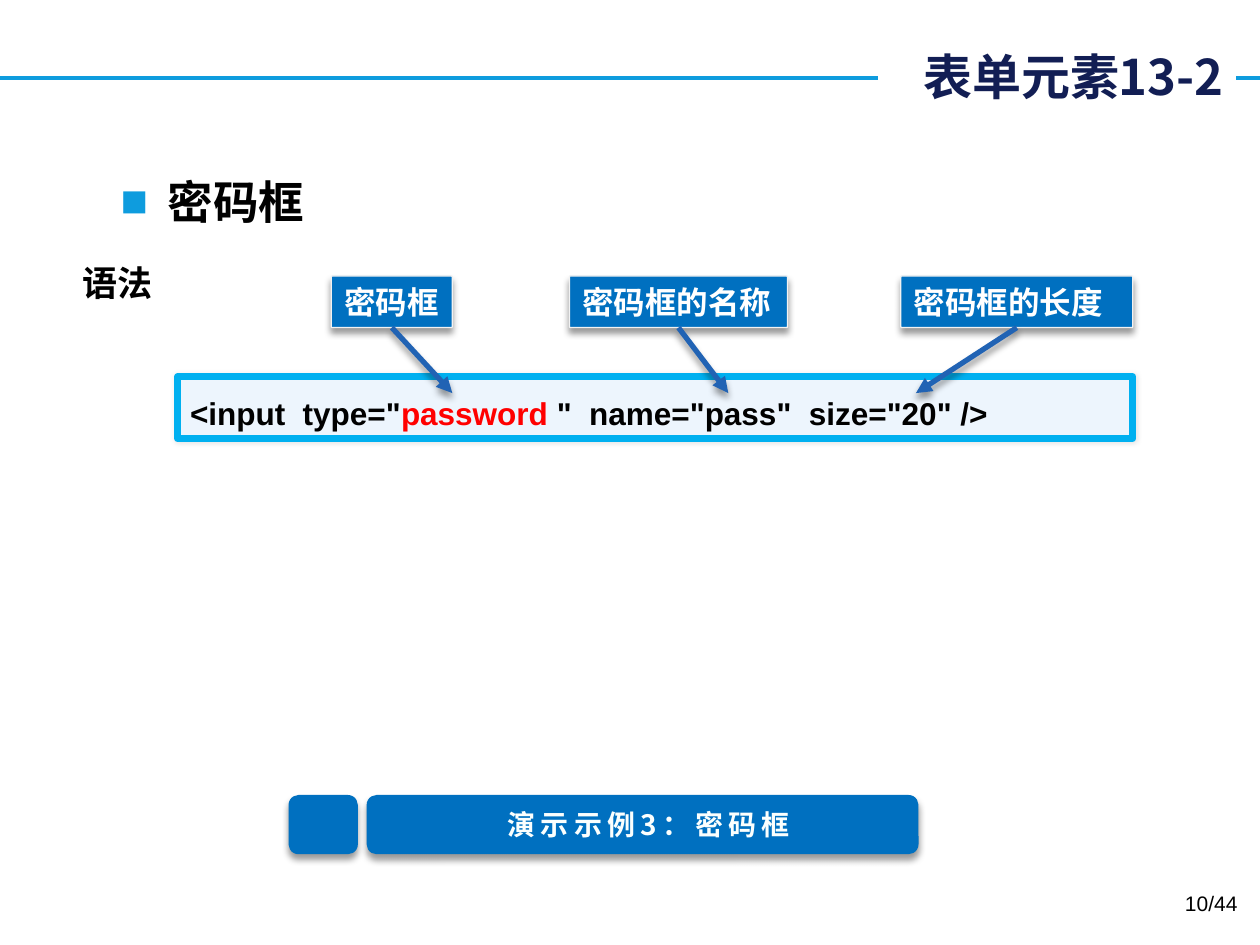
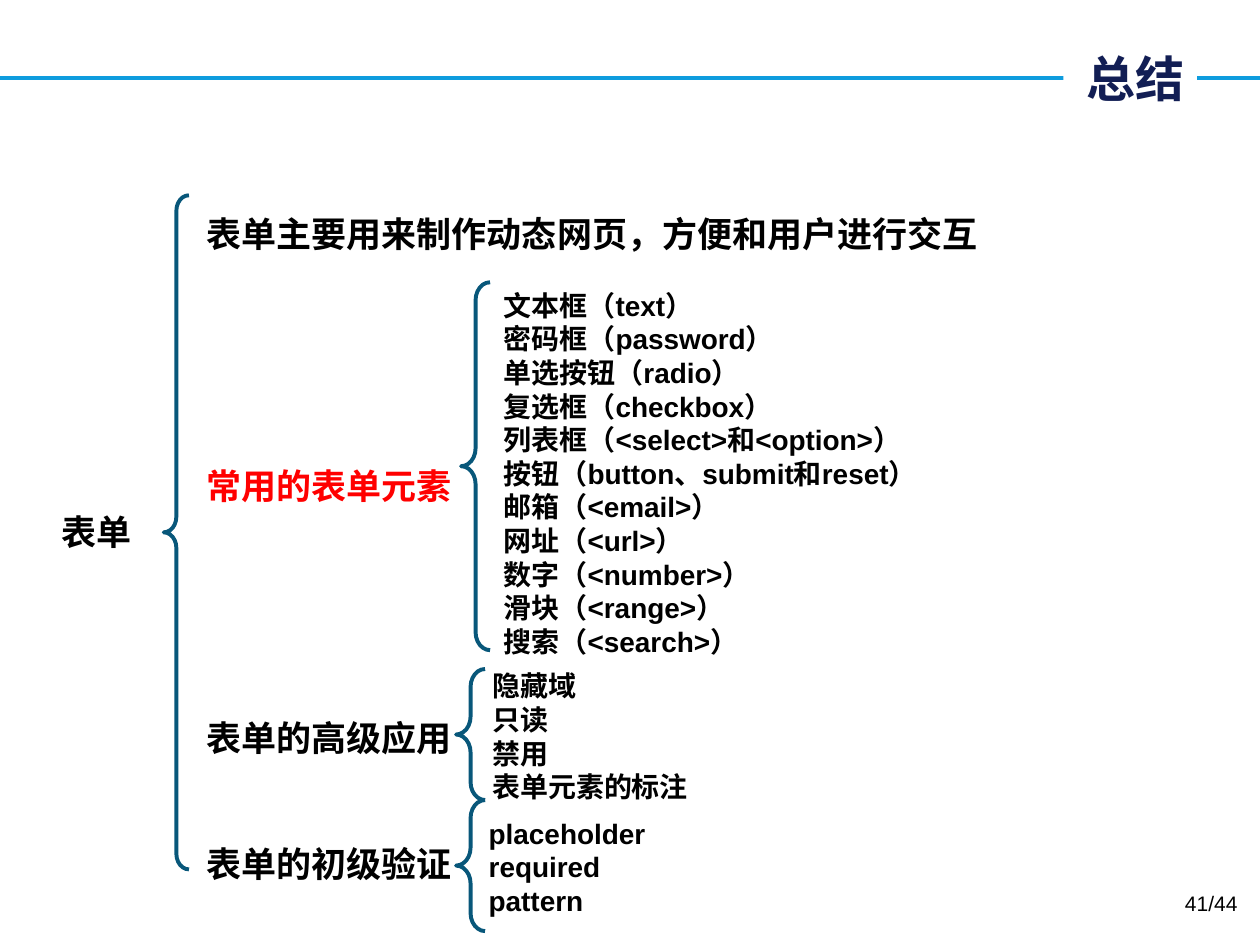
"""Build two slides on HTML form elements: the password box and a summary."""
from lxml.etree import SubElement
from pptx import Presentation
from pptx.dml.color import RGBColor
from pptx.enum.shapes import MSO_CONNECTOR as Link, MSO_SHAPE as Kind
from pptx.enum.text import MSO_ANCHOR as Anchor, PP_ALIGN as Align
from pptx.oxml.ns import qn
from pptx.util import Pt

rgb = RGBColor.from_string
SKY, NAVY, BLUE, TEAL = "0E9CDE", "121E54", "0070C0", "08577A"
BLACK, WHITE, RED, PALE = "000000", "FFFFFF", "FF0000", "F2F2F2"
CJK = "Noto Sans CJK SC"


def put(slide, text, left, top, wide, high, kind=None, size=20, hue=BLACK,
        bold=True, font="Arial", align=Align.LEFT, anchor=Anchor.TOP, wrap=True,
        fill=None, line=None, weight=0.75, hot="", space=None):
    """Add a text box or preset shape holding formatted text."""
    spot = [Pt(n) for n in (left, top, wide, high)]
    if kind is None:
        shape = slide.shapes.add_textbox(*spot)
    else:
        shape = slide.shapes.add_shape(kind, *spot)
        shape.shadow.inherit = False
        if fill:
            shape.fill.solid()
            shape.fill.fore_color.rgb = rgb(fill)
        else:
            shape.fill.background()
        if line:
            shape.line.color.rgb = rgb(line)
            shape.line.width = Pt(weight)
        else:
            shape.line.fill.background()
    frame = shape.text_frame
    frame.word_wrap = wrap
    frame.vertical_anchor = anchor
    for i, row in enumerate(text.split("\n") if text else []):
        para = frame.add_paragraph() if i else frame.paragraphs[0]
        para.alignment = align
        para.line_spacing = space
        for part in row.partition(hot) if hot else [row]:
            if part:
                run = para.add_run()
                run.text = part
                run.font.size = Pt(size)
                run.font.bold = bold
                run.font.color.rgb = rgb(RED if part == hot else hue)
                run.font.name = font
    for props in shape.element.iter(qn("a:rPr")):
        SubElement(props, qn("a:ea"), typeface=CJK)
    return shape


def shade(list_, alpha=40, blur=4, dist=3):
    """Add a soft black shadow that falls straight down to an effect list."""
    drop = SubElement(list_, qn("a:outerShdw"), blurRad=str(Pt(blur)),
                      dist=str(Pt(dist)), dir="5400000", rotWithShape="0")
    tone = SubElement(drop, qn("a:srgbClr"), val=BLACK)
    SubElement(tone, qn("a:alpha"), val=str(alpha * 1000))


deck = Presentation()
deck.slide_width, deck.slide_height = Pt(720), Pt(540)
pages = []
for title, page, box in [
    ("表单元素13-2", "10/44", (501.84, 5.76, 204.48, 74.88)),
    ("总结", "41/44", (607.68, 21.6, 76.32, 46.08)),
]:
    slide = deck.slides.add_slide(deck.slide_layouts[6])
    rule = slide.shapes.add_connector(Link.STRAIGHT, 0, Pt(44.64), Pt(720), Pt(44.64))
    rule.line.color.rgb = rgb(SKY)
    rule.line.width = Pt(2.25)
    SubElement(rule.element.spPr, qn("a:effectLst"))
    put(slide, title, *box, kind=Kind.RECTANGLE, fill=WHITE, size=28, hue=NAVY,
        font=CJK, align=Align.RIGHT, anchor=Anchor.MIDDLE)
    put(slide, page, 546.48, 505.44, 167.76, 28.8, size=12, bold=False, align=Align.RIGHT)
    pages.append(slide)
demo, recap = pages

head = put(demo, "密码框", 61.92, 95.76, 601.92, 60, size=26)
props = head.element.find(".//" + qn("a:pPr"))
props.set("marL", str(Pt(27)))
props.set("indent", str(-Pt(27)))
SubElement(SubElement(props, qn("a:buClr")), qn("a:srgbClr"), val=SKY)
SubElement(props, qn("a:buFont"), typeface="Arial")
SubElement(props, qn("a:buChar"), char="■")

label = put(demo, "语法", 40.32, 146.16, 55.44, 31.68, font=CJK, wrap=False)
props = label.element.find(".//" + qn("a:rPr"))
glow = SubElement(props, qn("a:effectLst"))
props.insert(1, glow)
shade(glow)

code = put(demo, '<input  type="password "  name="pass"  size="20" />',
           101.52, 215.28, 545.76, 35.28, kind=Kind.ROUNDED_RECTANGLE, size=18,
           fill="EDF5FD", line="00B0F0", weight=4, hot="password ", space=1.3)
code.adjustments[0] = 0
shade(code.element.spPr.find(qn("a:effectLst")), 10, 3, 0)

for text, left, wide, tip in [
    ("密码框", 189.36, 69.12, 258.48),
    ("密码框的名称", 325.44, 124.56, 416.16),
    ("密码框的长度", 514.8, 132.48, 523.44),
]:
    tag = put(demo, text, left, 157.68, wide, 29.52, kind=Kind.ROUNDED_RECTANGLE,
              size=18, hue=WHITE, fill=BLUE, line=PALE, anchor=Anchor.BOTTOM, wrap=False)
    tag.adjustments[0] = 0.02
    shade(tag.element.spPr.find(qn("a:effectLst")))
    arrow = demo.shapes.add_connector(
        Link.STRAIGHT, Pt(left + wide / 2), Pt(187.2), Pt(tip), Pt(224.64))
    arrow.line.color.rgb = rgb("2163B4")
    arrow.line.width = Pt(3)
    SubElement(arrow.element.spPr.find(qn("a:ln")), qn("a:tailEnd"), type="triangle")
    shade(SubElement(arrow.element.spPr, qn("a:effectLst")))

for left, wide in [(164.88, 39.6), (209.52, 315.36)]:
    pill = put(demo, "", left, 454.32, wide, 33.84, kind=Kind.ROUNDED_RECTANGLE, fill=BLUE)
    shade(pill.element.spPr.find(qn("a:effectLst")))
note = put(demo, "演示示例3：密码框", 277.2, 457.92, 187.2, 26.64, size=16, hue="FBFFFE",
           font=CJK, align=Align.CENTER, wrap=False)
note.element.find(".//" + qn("a:rPr")).set("spc", "300")

put(recap, "表单", 0, 288, 110.88, 31.68, align=Align.CENTER)
for text, row, hue in [
    ("表单主要用来制作动态网页，方便和用户进行交互", 0, BLACK),
    ("常用的表单元素", 6, RED),
    ("表单的高级应用", 12, BLACK),
    ("表单的初级验证", 15, BLACK),
]:
    put(recap, text, 110.88, 118.08 + 24 * row, 519.84, 31.68, hue=hue)

fields = """文本框（text）
密码框（password）
单选按钮（radio）
复选框（checkbox）
列表框（<select>和<option>）
按钮（button、submit和reset）
邮箱（<email>）
网址（<url>）
数字（<number>）
滑块（<range>）
搜索（<search>）"""
for text, left, top, high in [
    (fields, 280.8, 161.28, 239.76),
    ("隐藏域\n只读\n禁用\n表单元素的标注", 274.32, 378.72, 84.96),
    ("placeholder\nrequired\npattern", 272.16, 462.96, 65.52),
]:
    put(recap, text, left, top, 296.64, high, size=16)

for left, top, wide, high in [
    (93.6, 111.6, 14.4, 385.2),
    (263.52, 161.28, 16.56, 210.24),
    (260.64, 382.32, 16.56, 74.88),
    (260.64, 457.2, 16.56, 74.88),
]:
    brace = put(recap, "", left, top, wide, high, kind=Kind.LEFT_BRACE, line=TEAL, weight=2.25)
    brace.adjustments[0] = 0.62

deck.save("out.pptx")
